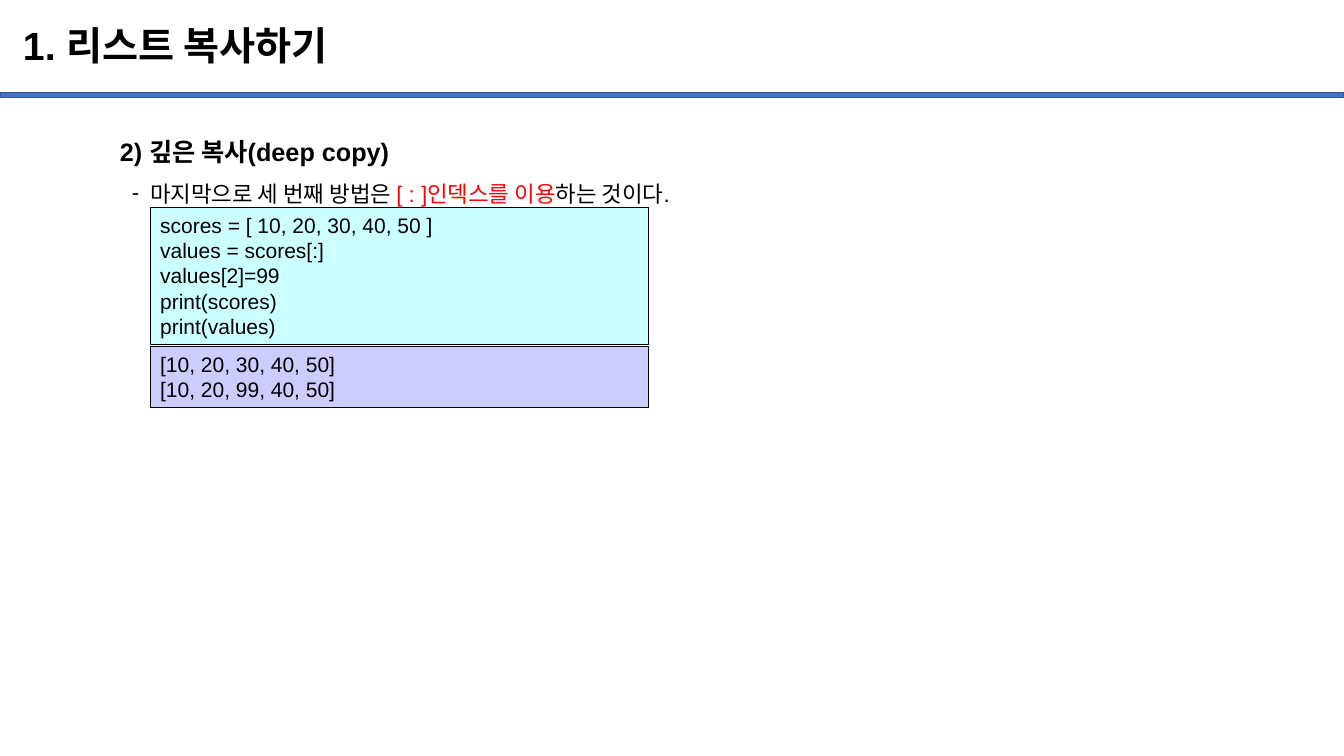
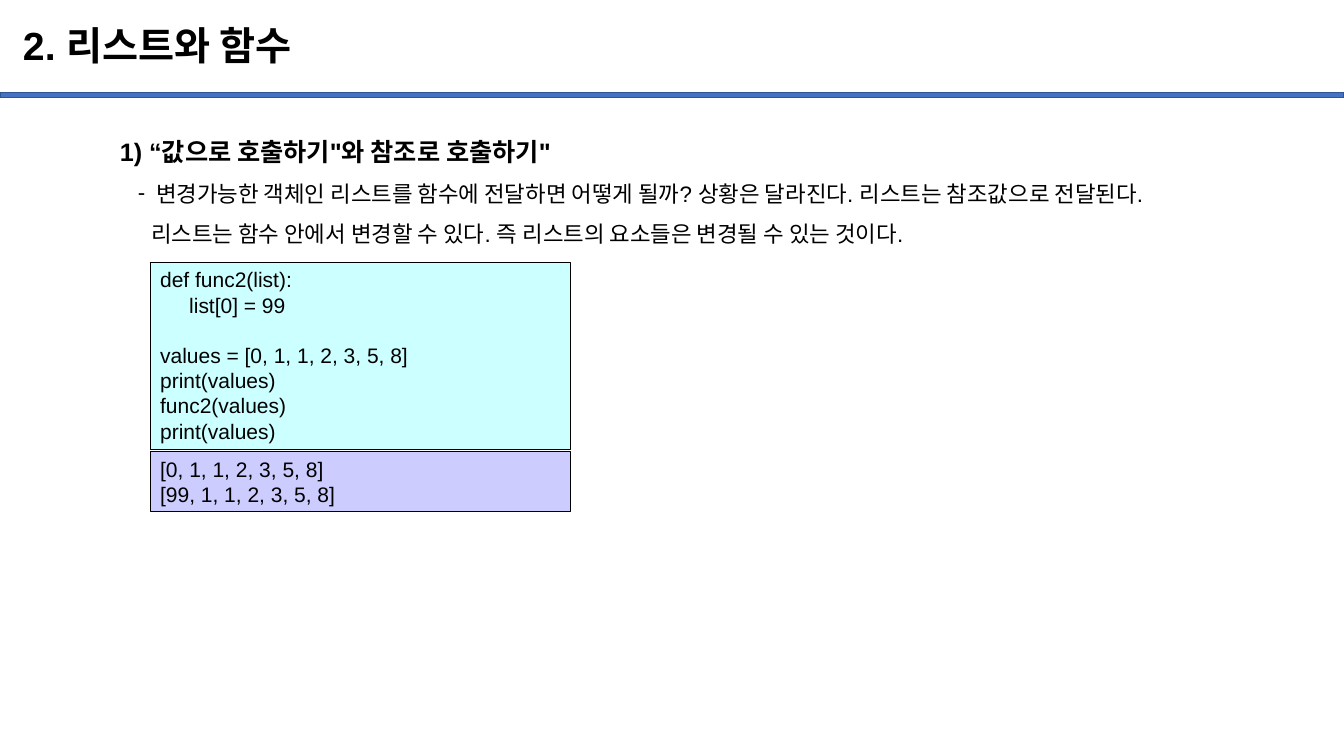
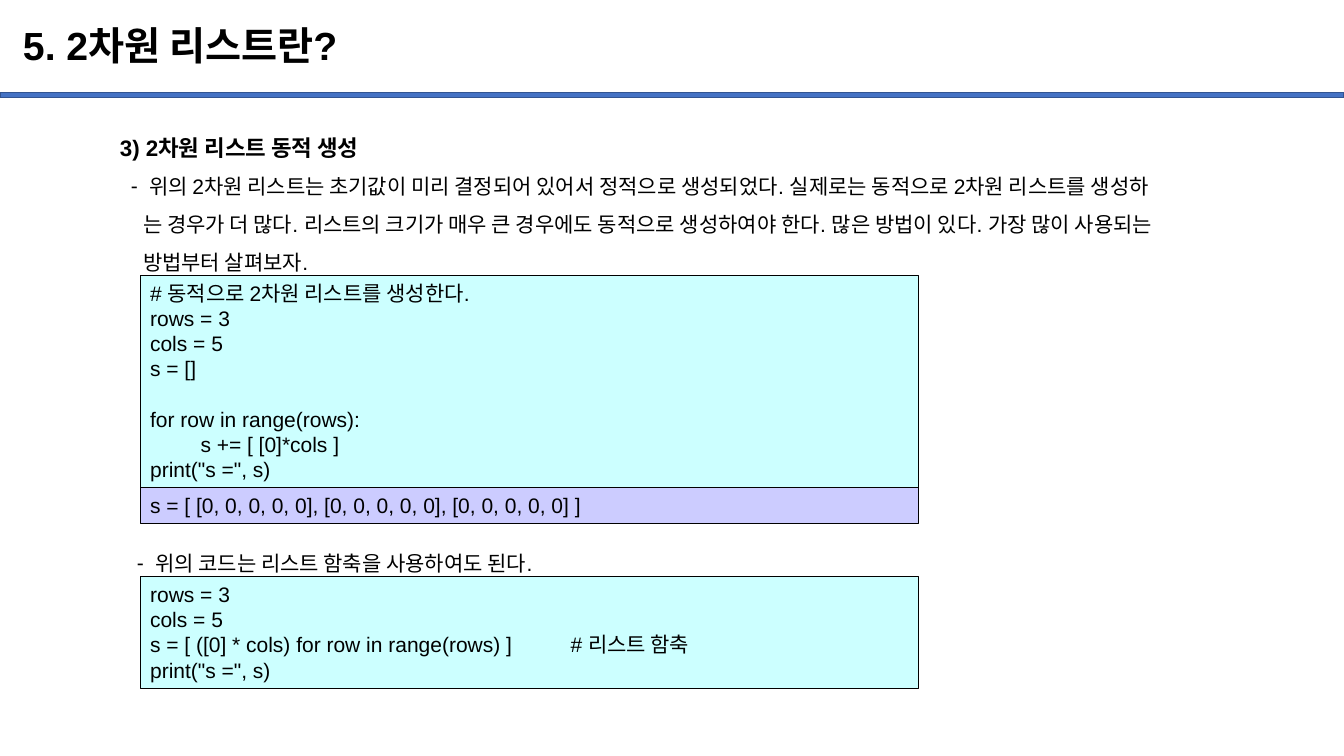
from dataclasses import dataclass

from lxml import etree
from pptx import Presentation
from pptx.dml.color import RGBColor
from pptx.enum import shapes, text
from pptx.oxml.ns import qn
from pptx.util import Inches, Pt

FONT = "Arial"
BLACK, RED = "000000", "FF0000"
BAND, BAND_EDGE = "4472C4", "325491"
CODE_FILL, OUTPUT_FILL = "CCFFFF", "CCCCFF"
CODE_SIZE = 15
CODE_TABS = (0.5, 4.17)
SLIDE_W, SLIDE_H = 13.33, 7.5
BODY_LEFT, BODY_TOP, BODY_W = 1.09, 1.15, 11.72
DASH_HANG = 0.18


@dataclass
class Line:
    """One body line; pieces are (text, colour) runs, indent is in inches."""
    pieces: list[tuple[str, str]]
    size: int
    indent: float = 0
    dash: bool = False
    bold: bool = False


@dataclass
class Body:
    top: float
    height: float
    lines: list[Line]


@dataclass
class Listing:
    left: float
    top: float
    width: float
    code: str
    fill: str = CODE_FILL


@dataclass
class Page:
    title: str
    bodies: list[Body]
    listings: list[Listing]


def heading(words: str, size: int) -> Line:
    return Line([(words, BLACK)], size, bold=True)


def dashed(words: str, size: int, indent: float) -> Line:
    return Line([(words, BLACK)], size, indent, dash=True)


def plain(words: str, size: int, indent: float) -> Line:
    return Line([(words, BLACK)], size, indent)


def rgb(colour: str) -> RGBColor:
    return RGBColor.from_string(colour)


def style(r, size: int, colour: str = BLACK, bold: bool = False) -> None:
    r.font.name = FONT
    r.font.size = Pt(size)
    r.font.bold = bold
    r.font.color.rgb = rgb(colour)


def add_box(slide, left: float, top: float, width: float, height: float,
            fill: str, edge: str, edge_width: float):
    sp = slide.shapes.add_shape(shapes.MSO_SHAPE.RECTANGLE, Inches(left),
                                Inches(top), Inches(width), Inches(height))
    sp.shadow.inherit = False
    sp.fill.solid()
    sp.fill.fore_color.rgb = rgb(fill)
    sp.line.color.rgb = rgb(edge)
    sp.line.width = Pt(edge_width)
    return sp


def add_text_frame(slide, left: float, top: float, width: float, height: float):
    sp = slide.shapes.add_textbox(Inches(left), Inches(top),
                                  Inches(width), Inches(height))
    sp.text_frame.word_wrap = True
    return sp.text_frame


def add_header(slide, title: str) -> None:
    add_box(slide, 0, 0.92, SLIDE_W, 0.05, BAND, BAND_EDGE, 1)
    tf = add_text_frame(slide, 0.13, 0.1, 11.5, 0.74)
    tf.vertical_anchor = text.MSO_ANCHOR.MIDDLE
    tf.text = title
    p = tf.paragraphs[0]
    p.line_spacing = 0.9
    style(p.runs[0], 28, bold=True)


def add_body(slide, body: Body) -> None:
    tf = add_text_frame(slide, BODY_LEFT, body.top, BODY_W, body.height)
    for i, line in enumerate(body.lines):
        p = tf.add_paragraph() if i else tf.paragraphs[0]
        p.line_spacing = 1.5
        pPr = p._p.get_or_add_pPr()
        pPr.set("marL", str(Inches(line.indent)))
        pPr.set("indent", str(-Inches(DASH_HANG) if line.dash else 0))
        if line.dash:
            etree.SubElement(pPr, qn("a:buFont"), typeface=FONT)
            etree.SubElement(pPr, qn("a:buChar"), char="-")
        else:
            etree.SubElement(pPr, qn("a:buNone"))
        for words, colour in line.pieces:
            r = p.add_run()
            r.text = words
            style(r, line.size, colour, line.bold)


def add_listing(slide, listing: Listing) -> None:
    """Draw a code or output box as tall as its lines."""
    lines = listing.code.split("\n")
    sp = add_box(slide, listing.left, listing.top, listing.width,
                 round(0.1 + 0.252 * len(lines), 2), listing.fill, BLACK, 0.75)
    tf = sp.text_frame
    tf.word_wrap = True
    tf.vertical_anchor = text.MSO_ANCHOR.TOP
    tf.text = listing.code
    for p in tf.paragraphs:
        p.alignment = text.PP_ALIGN.LEFT
        tabs = etree.SubElement(p._p.get_or_add_pPr(), qn("a:tabLst"))
        for stop in CODE_TABS:
            etree.SubElement(tabs, qn("a:tab"), pos=str(Inches(stop)), algn="l")
        for r in p.runs:
            style(r, CODE_SIZE)
        if not p.runs:
            etree.SubElement(p._p, qn("a:endParaRPr"), sz=str(CODE_SIZE * 100))


PAGES = [
    Page(
        "1. 리스트 복사하기",
        [Body(BODY_TOP, 0.95, [
            heading("2) 깊은 복사(deep copy)", 18),
            Line([("마지막으로 세 번째 방법은 ", BLACK),
                  ("[ : ]인덱스를 이용", RED),
                  ("하는 것이다.", BLACK)], 16, 0.3, dash=True),
        ])],
        [
            Listing(1.49, 2.06, 4.94, """scores = [ 10, 20, 30, 40, 50 ]
values = scores[:]
values[2]=99
print(scores)
print(values)"""),
            Listing(1.49, 3.44, 4.94, """[10, 20, 30, 40, 50]
[10, 20, 99, 40, 50]""", OUTPUT_FILL),
        ],
    ),
    Page(
        "2. 리스트와 함수",
        [Body(BODY_TOP, 1.31, [
            heading("1) “값으로 호출하기\"와 참조로 호출하기\"", 18),
            dashed("변경가능한 객체인 리스트를 함수에 전달하면 어떻게 될까? "
                   "상황은 달라진다. 리스트는 참조값으로 전달된다.", 16, 0.36),
            plain("리스트는 함수 안에서 변경할 수 있다. "
                  "즉 리스트의 요소들은 변경될 수 있는 것이다.", 16, 0.31),
        ])],
        [
            Listing(1.49, 2.6, 4.17, """def func2(list):
     list[0] = 99

values = [0, 1, 1, 2, 3, 5, 8]
print(values)
func2(values)
print(values)"""),
            Listing(1.49, 4.48, 4.17, """[0, 1, 1, 2, 3, 5, 8]
[99, 1, 1, 2, 3, 5, 8]""", OUTPUT_FILL),
        ],
    ),
    Page(
        "5. 2차원 리스트란?",
        [
            Body(BODY_TOP, 1.6, [
                heading("3) 2차원 리스트 동적 생성", 16),
                dashed("위의 2차원 리스트는 초기값이 미리 결정되어 있어서 정적으로 "
                       "생성되었다. 실제로는 동적으로 2차원 리스트를 생성하", 15, 0.29),
                plain("는 경우가 더 많다. 리스트의 크기가 매우 큰 경우에도 동적으로 "
                      "생성하여야 한다. 많은 방법이 있다. 가장 많이 사용되는", 15, 0.23),
                plain("방법부터 살펴보자.", 15, 0.23),
            ]),
            Body(5.29, 0.48, [
                dashed("위의 코드는 리스트 함축을 사용하여도 된다.", 15, 0.35),
            ]),
        ],
        [
            Listing(1.39, 2.73, 7.72, """# 동적으로 2차원 리스트를 생성한다.
rows = 3
cols = 5
s = []

for row in range(rows):
\ts += [ [0]*cols ]
print("s =", s)"""),
            Listing(1.39, 4.84, 7.72,
                    "s = [ [0, 0, 0, 0, 0], [0, 0, 0, 0, 0], [0, 0, 0, 0, 0] ]",
                    OUTPUT_FILL),
            Listing(1.39, 5.72, 7.72, """rows = 3
cols = 5
s = [ ([0] * cols) for row in range(rows) ]\t# 리스트 함축
print("s =", s)"""),
        ],
    ),
]


def main() -> None:
    prs = Presentation()
    prs.slide_width, prs.slide_height = Inches(SLIDE_W), Inches(SLIDE_H)
    blank = prs.slide_layouts[6]
    for page in PAGES:
        slide = prs.slides.add_slide(blank)
        add_header(slide, page.title)
        for body in page.bodies:
            add_body(slide, body)
        for listing in page.listings:
            add_listing(slide, listing)
    prs.save("out.pptx")


if __name__ == "__main__":
    main()
